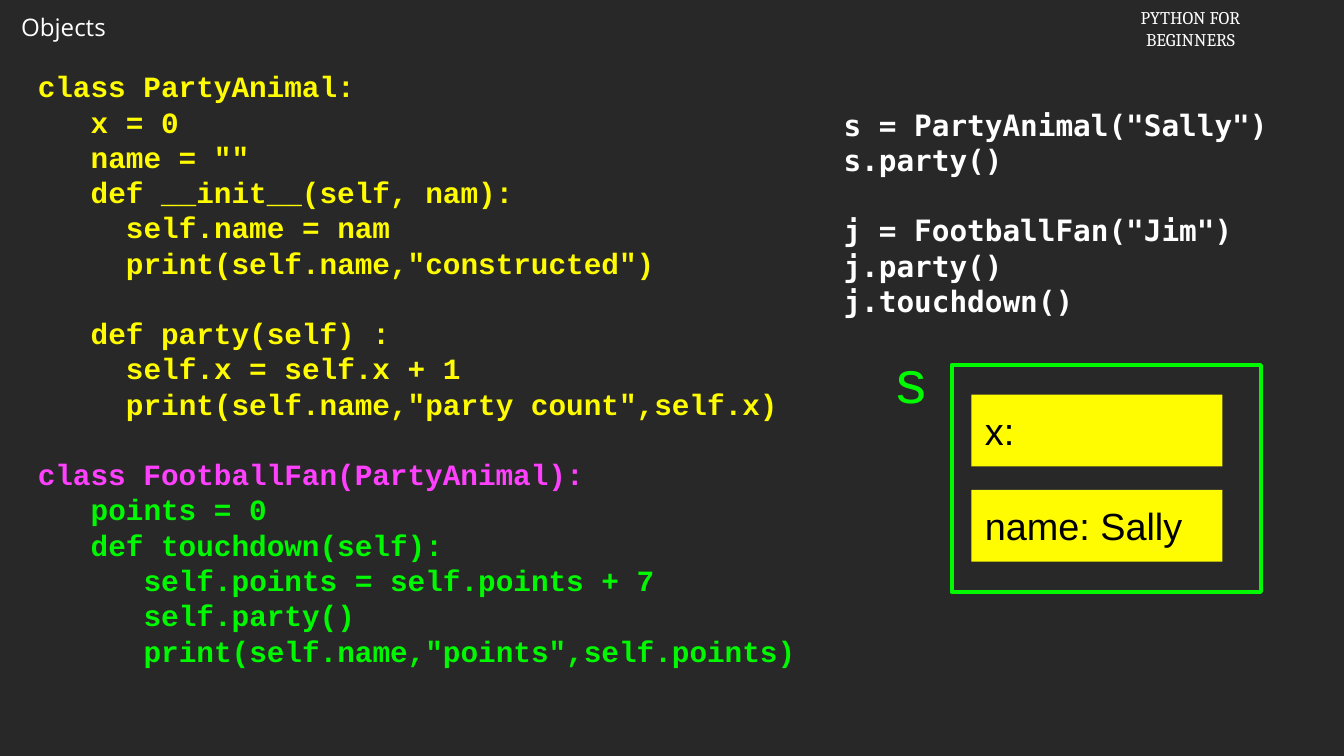
from pptx import Presentation
from pptx.dml.color import RGBColor
from pptx.enum.shapes import MSO_SHAPE
from pptx.enum.text import MSO_ANCHOR, PP_ALIGN
from pptx.util import Inches, Pt

RECTANGLE = MSO_SHAPE.RECTANGLE
TOP, MIDDLE = MSO_ANCHOR.TOP, MSO_ANCHOR.MIDDLE
LEFT, CENTER = PP_ALIGN.LEFT, PP_ALIGN.CENTER

BACKGROUND = RGBColor(0x28, 0x28, 0x28)
WHITE = RGBColor(0xFF, 0xFF, 0xFF)
BLACK = RGBColor(0x00, 0x00, 0x00)
YELLOW = RGBColor(0xFF, 0xFB, 0x00)
MAGENTA = RGBColor(0xFF, 0x40, 0xFF)
GREEN = RGBColor(0x00, 0xF9, 0x00)
LABEL_GREEN = RGBColor(0x00, 0xFA, 0x00)

CELL = 0.1                      # grid cell, inches
CODE_SIZE = 28                  # points
CODE_LINE = Pt(33.6)            # code line pitch
CODE_COLUMN = Pt(0.6 * CODE_SIZE)  # width of one monospaced character

PARTY_ANIMAL = '''class PartyAnimal:
   x = 0
   name = ""
   def __init__(self, nam):
     self.name = nam
     print(self.name,"constructed")

   def party(self) :
     self.x = self.x + 1
     print(self.name,"party count",self.x)
'''
FAN_HEADER = '''
class FootballFan(PartyAnimal):'''
FAN_BODY = '''   points = 0
   def touchdown(self):
      self.points = self.points + 7
      self.party()
      print(self.name,"points",self.points)'''
USAGE = '''s = PartyAnimal("Sally")
s.party()

j = FootballFan("Jim")
j.party()
j.touchdown()'''


def place(column, row, columns, rows):
    """Turn grid cells into left, top, width and height."""
    return [Inches(cells * CELL) for cells in (column, row, columns, rows)]


def set_frame(text_frame, anchor, side, edge, wrap=True):
    text_frame.word_wrap = wrap
    text_frame.vertical_anchor = anchor
    text_frame.margin_left = text_frame.margin_right = Inches(side)
    text_frame.margin_top = text_frame.margin_bottom = Inches(edge)


def style(paragraph, font_name, size, color, bold=False, align=LEFT):
    paragraph.alignment = align
    for run in paragraph.runs:
        font = run.font
        font.name, font.size, font.bold = font_name, Pt(size), bold
        font.color.rgb = color


def add_label(slide, cells, text, font_name, size, color,
              side=0.1, edge=0.05, wrap=False, align=LEFT):
    text_frame = slide.shapes.add_textbox(*place(*cells)).text_frame
    set_frame(text_frame, TOP, side, edge, wrap)
    text_frame.text = text
    for paragraph in text_frame.paragraphs:
        style(paragraph, font_name, size, color, align=align)


def add_code(slide, cells, font_name, parts):
    """Write coloured code: leading spaces become indents, empty lines gaps."""
    text_frame = slide.shapes.add_textbox(*place(*cells)).text_frame
    set_frame(text_frame, MIDDLE, 0.04, 0.04)
    lines = [(line, color) for color, code in parts for line in code.splitlines()]
    paragraph, gap = text_frame.paragraphs[0], 0
    for line, color in lines:
        text = line.lstrip()
        if not text:
            gap += CODE_LINE
            continue
        if paragraph.runs:
            paragraph = text_frame.add_paragraph()
        paragraph.text = text
        style(paragraph, font_name, CODE_SIZE, color, bold=True)
        paragraph.line_spacing = CODE_LINE
        paragraph.space_before, gap = gap, 0
        indent = (len(line) - len(text)) * CODE_COLUMN
        paragraph._p.get_or_add_pPr().set("marL", str(indent))


def add_box(slide, cells):
    shape = slide.shapes.add_shape(RECTANGLE, *place(*cells))
    shape.shadow.inherit = False
    return shape


def add_object_frame(slide, cells):
    shape = add_box(slide, cells)
    shape.fill.background()
    shape.line.color.rgb = GREEN
    shape.line.width = Pt(4)


def add_field(slide, cells, text):
    shape = add_box(slide, cells)
    shape.fill.solid()
    shape.fill.fore_color.rgb = YELLOW
    shape.line.fill.background()
    set_frame(shape.text_frame, MIDDLE, 0.18, 0.04)
    shape.text_frame.text = text
    style(shape.text_frame.paragraphs[0], "Arial", 36, BLACK)


def main():
    presentation = Presentation()
    presentation.slide_width = Inches(17.78)
    presentation.slide_height = Inches(10)
    slide = presentation.slides.add_slide(presentation.slide_layouts[6])
    slide.background.fill.solid()
    slide.background.fill.fore_color.rgb = BACKGROUND

    # Header
    add_label(slide, (1.8, 1.2, 13.9, 4.9), "Objects", "Open Sans", 23, WHITE)
    add_label(slide, (148.8, 0.4, 17.4, 6.7), "PYTHON FOR\nBEGINNERS",
              "Cambria", 17, WHITE, align=CENTER)

    # Class definitions and their use
    add_code(slide, (4.6, 3, 104.1, 91.4), "Courier New",
             [(YELLOW, PARTY_ANIMAL), (MAGENTA, FAN_HEADER), (GREEN, FAN_BODY)])
    add_code(slide, (111.2, 11.7, 63.3, 32.8), "DejaVu Sans Mono",
             [(WHITE, USAGE)])

    # Object s with its fields
    add_object_frame(slide, (125.9, 48.3, 40.9, 30))
    for index, text in enumerate(("x:", "name: Sally")):
        add_field(slide, (128.5, 52.2 + 12.6 * index, 33.2, 9.5), text)
    add_label(slide, (116.8, 44.6, 6.7, 11.4), "s", "Arial", 57, LABEL_GREEN,
              side=0.18, edge=0.09, wrap=True)

    presentation.save("out.pptx")


if __name__ == "__main__":
    main()
